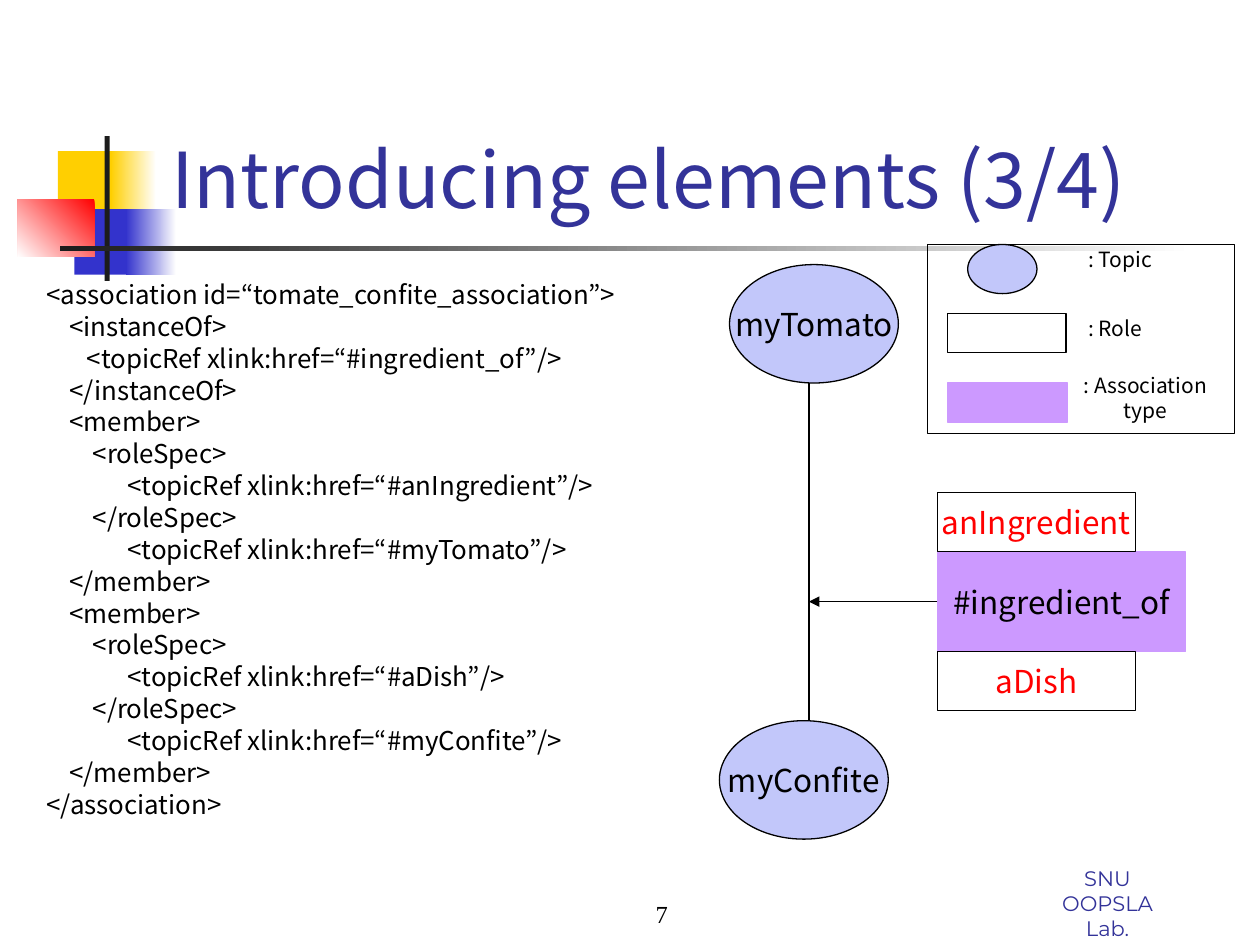
from dataclasses import dataclass

from lxml.etree import SubElement
from pptx import Presentation
from pptx.dml.color import RGBColor
from pptx.enum.shapes import MSO_CONNECTOR, MSO_SHAPE
from pptx.enum.text import MSO_ANCHOR, PP_ALIGN
from pptx.oxml.ns import qn
from pptx.util import Inches, Pt


@dataclass(frozen=True)
class Theme:
    """Hold the colours, fonts and type sizes of the slide."""
    white: str = "FFFFFF"
    black: str = "000000"
    ink: str = "1C1C1C"
    yellow: str = "FFCF01"
    blue: str = "3333CC"
    red: str = "FF0000"
    heading: str = "333399"
    topic: str = "C2C7FA"
    association: str = "CC99FF"
    main_font: str = "Noto Sans CJK KR"
    lab_font: str = "Montserrat"
    number_font: str = "Times New Roman"
    title_size: float = 44
    node_size: float = 18
    code_size: float = 14.8
    number_size: float = 14
    small_size: float = 12
    line_width: float = 0.75


THEME = Theme()
RECT, OVAL = MSO_SHAPE.RECTANGLE, MSO_SHAPE.OVAL

CODE = """<association id=“tomate_confite_association”>
    <instanceOf>
       <topicRef xlink:href=“#ingredient_of”/>
    </instanceOf>
    <member>
        <roleSpec>
              <topicRef xlink:href=“#anIngredient”/>
        </roleSpec>
              <topicRef xlink:href=“#myTomato”/>
    </member>
    <member>
        <roleSpec>
              <topicRef xlink:href=“#aDish”/>
        </roleSpec>
              <topicRef xlink:href=“#myConfite”/>
    </member>
</association>"""


def rgb(value):
    """Turn a hex string into a colour."""
    return RGBColor.from_string(value)


def write(frame, lines, size, color=THEME.black, font=THEME.main_font,
          align=PP_ALIGN.LEFT, anchor=MSO_ANCHOR.MIDDLE, wrap=True):
    """Write one paragraph per line into a text frame."""
    frame.word_wrap = wrap
    frame.vertical_anchor = anchor
    for index, line in enumerate(lines):
        para = frame.add_paragraph() if index else frame.paragraphs[0]
        para.alignment = align
        span = para.add_run()
        span.text = line
        span.font.name = font
        span.font.size = Pt(size)
        span.font.color.rgb = rgb(color)


def add_text(page, place, lines, size, **style):
    """Add a text box and return its frame."""
    frame = page.shapes.add_textbox(*map(Inches, place)).text_frame
    write(frame, lines, size, **style)
    return frame


def add_box(page, kind, place, fill=None, line=None):
    """Add a preset shape with an optional solid fill and outline."""
    box = page.shapes.add_shape(kind, *map(Inches, place))
    box.shadow.inherit = False
    if fill:
        box.fill.solid()
        box.fill.fore_color.rgb = rgb(fill)
    else:
        box.fill.background()
    if line:
        box.line.color.rgb = rgb(line)
        box.line.width = Pt(THEME.line_width)
    else:
        box.line.fill.background()
    return box


def add_fade(page, place, start, end, angle):
    """Add a rectangle that fades from one colour to another."""
    fill = add_box(page, RECT, place).fill
    fill.gradient()
    fill.gradient_angle = angle
    for stop, color in zip(fill.gradient_stops, (start, end)):
        stop.color.rgb = rgb(color)


def add_node(page, kind, place, label, fill=None, line=THEME.black, color=THEME.black):
    """Add a labelled diagram node."""
    node = add_box(page, kind, place, fill, line)
    write(node.text_frame, [label], THEME.node_size, color=color,
          align=PP_ALIGN.CENTER, wrap=False)
    return node


def add_line(page, start, end, arrow=False):
    """Add a straight black line, with an arrowhead at its end if asked."""
    line = page.shapes.add_connector(MSO_CONNECTOR.STRAIGHT, *start, *end)
    line.line.color.rgb = rgb(THEME.black)
    line.line.width = Pt(THEME.line_width)
    if arrow:
        SubElement(line.line._get_or_add_ln(), qn("a:tailEnd"), type="triangle")
    SubElement(line._element.spPr, qn("a:effectLst"))
    return line


def add_decoration(page):
    """Draw the coloured blocks and rules beside the title."""
    add_box(page, RECT, (0.46, 1.2, 0.48, 0.52), THEME.yellow)
    add_fade(page, (0.88, 1.2, 0.36, 0.52), THEME.white, THEME.yellow, 180)
    add_box(page, RECT, (0.59, 1.66, 0.46, 0.52), THEME.blue)
    add_fade(page, (1, 1.66, 0.4, 0.52), THEME.white, THEME.blue, 180)
    add_fade(page, (0.14, 1.58, 0.61, 0.46), THEME.red, THEME.white, 225)
    add_box(page, RECT, (0.83, 1.08, 0.04, 1.15), THEME.ink)
    add_fade(page, (0.48, 1.95, 9, 0.04), THEME.white, THEME.ink, 180)


def add_code(page):
    """Add the markup listing."""
    frame = add_text(page, (0.27, 2.21, 5.28, 4.38), CODE.splitlines(),
                     THEME.code_size, anchor=MSO_ANCHOR.TOP)
    for index, para in enumerate(frame.paragraphs):
        para.line_spacing = 0.8
        para.space_before = Pt(4 if index else 0)


def add_diagram(page):
    """Draw the two topics, their association and its roles."""
    for left, top, label in ((5.79, 2.1, "myTomato"), (5.71, 5.72, "myConfite")):
        add_node(page, OVAL, (left, top, 1.34, 0.94), label, THEME.topic)
    axis = Inches(6.42)
    add_line(page, (axis, Inches(3.04)), (axis, Inches(5.72)))
    association = add_node(page, RECT, (7.44, 4.38, 1.97, 0.79), "#ingredient_of",
                           THEME.association, THEME.association)
    middle = association.top + association.height // 2
    arrow = add_line(page, (association.left, middle), (axis, middle), arrow=True)
    arrow.begin_connect(association, 1)
    for top, label in ((3.91, "anIngredient"), (5.17, "aDish")):
        add_node(page, RECT, (7.44, top, 1.57, 0.47), label, color=THEME.red)


def add_legend(page):
    """Draw the framed key of symbols."""
    add_box(page, RECT, (7.36, 1.94, 2.44, 1.5), line=THEME.black)
    add_box(page, OVAL, (7.68, 1.94, 0.55, 0.39), THEME.topic, THEME.black)
    add_box(page, RECT, (7.52, 2.49, 0.94, 0.31), line=THEME.black)
    add_box(page, RECT, (7.52, 3.04, 0.95, 0.31), THEME.association, THEME.association)
    labels = ((8.54, 1.1, [": Topic"], PP_ALIGN.LEFT),
              (8.54, 1.1, [": Role"], PP_ALIGN.LEFT),
              (8.44, 1.3, [": Association", "type"], PP_ALIGN.CENTER))
    for row, (left, width, lines, align) in enumerate(labels):
        add_text(page, (left, 1.86 + 0.55 * row, width, 0.39), lines,
                 THEME.small_size, align=align)


def main():
    """Build and save the deck."""
    deck = Presentation()
    deck.slide_width, deck.slide_height = Inches(10), Inches(7.5)
    page = deck.slides.add_slide(deck.slide_layouts[6])
    add_decoration(page)
    add_text(page, (8.18, 6.82, 1.22, 0.5), ["SNU", "OOPSLA Lab."], THEME.small_size,
             color=THEME.heading, font=THEME.lab_font, align=PP_ALIGN.CENTER,
             anchor=MSO_ANCHOR.TOP)
    add_text(page, (1.26, 0.23, 8.52, 1.6), ["Introducing elements (3/4)"],
             THEME.title_size, color=THEME.heading, anchor=MSO_ANCHOR.BOTTOM)
    add_code(page)
    add_diagram(page)
    add_legend(page)
    add_text(page, (3.98, 6.66, 1.42, 0.76), ["7"], THEME.number_size,
             font=THEME.number_font, align=PP_ALIGN.RIGHT, anchor=MSO_ANCHOR.BOTTOM)
    deck.save("out.pptx")


if __name__ == "__main__":
    main()
